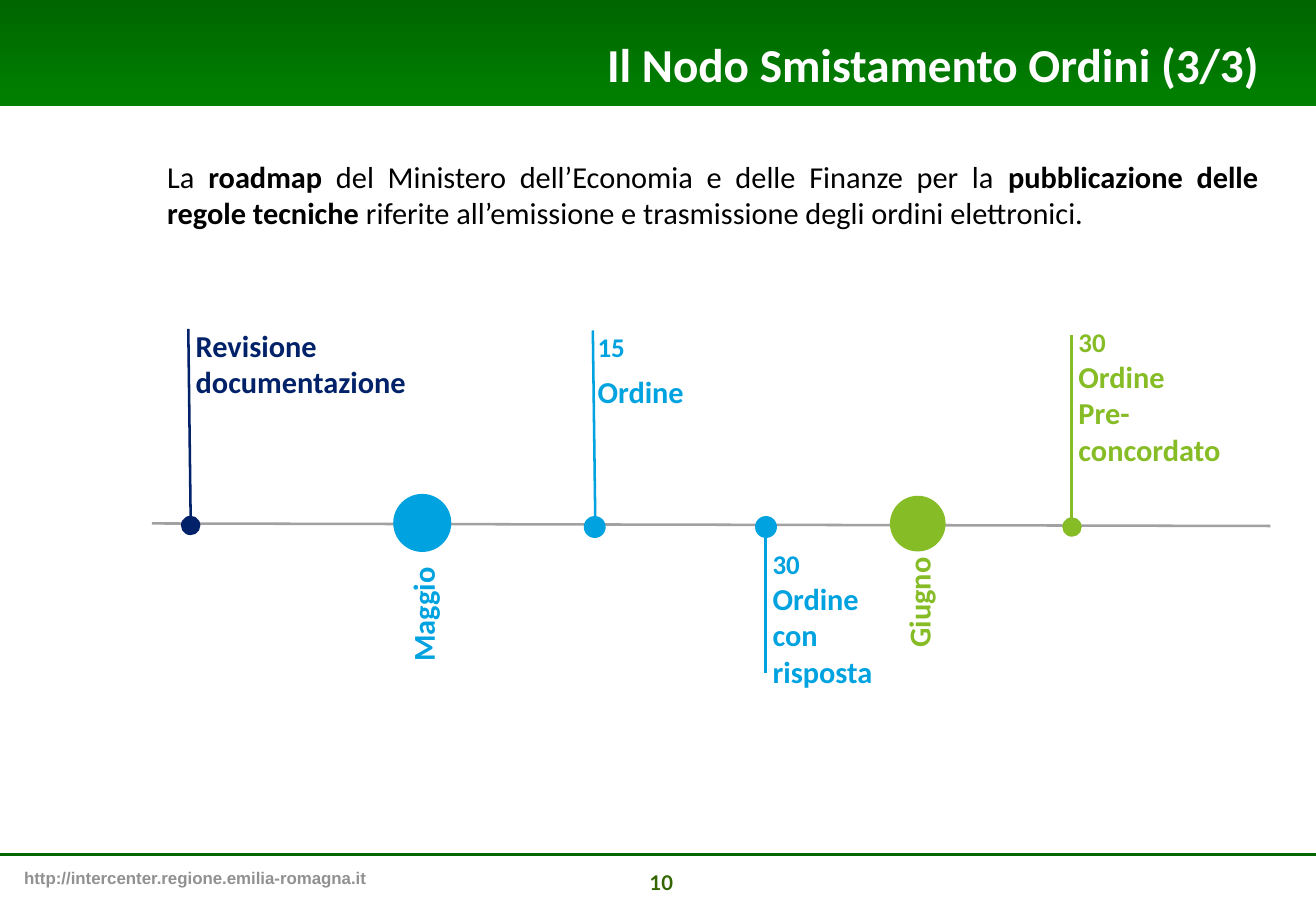
from dataclasses import dataclass

from lxml.etree import SubElement
from pptx import Presentation
from pptx.dml.color import RGBColor
from pptx.enum.shapes import MSO_CONNECTOR, MSO_SHAPE
from pptx.enum.text import MSO_ANCHOR, PP_ALIGN
from pptx.oxml.ns import qn
from pptx.shapes.base import BaseShape
from pptx.slide import Slide
from pptx.text.text import TextFrame
from pptx.util import Pt

COLORS = {
    "banner_top": "006600",
    "banner_bottom": "008000",
    "white": "FFFFFF",
    "black": "000000",
    "url": "919191",
    "page": "336600",
    "axis": "A1A1A1",
    "revision": "012169",
    "may": "00A3E0",
    "june": "86BC25",
}

Point = tuple[float, float]
Box = tuple[float, float, float, float]


@dataclass
class Line:
    text: str
    size: float = 18
    space_before: float = 0


@dataclass
class Milestone:
    color: str
    center: Point
    diameter: float
    stem_start: Point
    stem_end: Point
    label_box: Box
    lines: list[Line]


@dataclass
class Month:
    name: str
    color: str
    center: Point
    diameter: float
    label_center: Point
    label_width: float


MILESTONES = [
    Milestone("revision", (113, 311.5), 11.5, (113, 306), (111.6, 195),
              (116, 193.7, 135.4, 44), [Line("Revisione documentazione")]),
    Milestone("may", (352.5, 312.4), 13, (352.8, 306.5), (351.4, 195.8),
              (354.2, 195.8, 94.3, 48), [Line("15", 16), Line("Ordine", 18, 6)]),
    Milestone("june", (635.4, 312.4), 11.5, (635.2, 309), (635.2, 198.7),
              (639.2, 193, 94.3, 87),
              [Line("30", 16), Line("Ordine"), Line("Pre-concordato")]),
    Milestone("may", (454, 312.4), 13, (453.6, 314), (453.6, 399),
              (457.9, 324.7, 75.6, 87),
              [Line("30", 16), Line("Ordine con"), Line("risposta")]),
]

MONTHS = [
    Month("Maggio", "may", (250.3, 310), 34.4, (250.6, 367.2), 62),
    Month("Giugno", "june", (544, 310.4), 33, (544.4, 360), 59),
]

INTRO = [
    ("La ", False),
    ("roadmap", True),
    (" del Ministero dell’Economia e delle Finanze per la ", False),
    ("pubblicazione delle regole tecniche", True),
    (" riferite all’emissione e trasmissione degli ordini elettronici.", False),
]


def rgb(color: str) -> RGBColor:
    return RGBColor.from_string(COLORS[color])


def add_line(slide: Slide, start: Point, end: Point, color: str, width: float = 1.5) -> None:
    line = slide.shapes.add_connector(
        MSO_CONNECTOR.STRAIGHT, *(Pt(value) for value in (*start, *end)))
    line.line.color.rgb = rgb(color)
    line.line.width = Pt(width)
    SubElement(line.element.spPr, qn("a:effectLst"))


def add_dot(slide: Slide, center: Point, diameter: float, color: str) -> None:
    x, y = center
    dot = slide.shapes.add_shape(
        MSO_SHAPE.OVAL, Pt(x - diameter / 2), Pt(y - diameter / 2),
        Pt(diameter), Pt(diameter))
    dot.shadow.inherit = False
    dot.fill.solid()
    dot.fill.fore_color.rgb = rgb(color)
    dot.line.fill.background()


def write_lines(frame: TextFrame, lines: list[Line], color: str,
                font: str = "Calibri", align: PP_ALIGN = PP_ALIGN.LEFT) -> None:
    frame.word_wrap = True
    frame.vertical_anchor = MSO_ANCHOR.TOP
    for index, line in enumerate(lines):
        paragraph = frame.add_paragraph() if index else frame.paragraphs[0]
        paragraph.text = line.text
        paragraph.alignment = align
        paragraph.space_before = Pt(line.space_before)
        paragraph.font.name = font
        paragraph.font.size = Pt(line.size)
        paragraph.font.bold = True
        paragraph.font.color.rgb = rgb(color)


def add_text(slide: Slide, box: Box, lines: list[Line], color: str,
             font: str = "Calibri", align: PP_ALIGN = PP_ALIGN.LEFT,
             inset: bool = False) -> BaseShape:
    text_box = slide.shapes.add_textbox(*(Pt(value) for value in box))
    frame = text_box.text_frame
    if not inset:
        frame.margin_left = frame.margin_right = 0
        frame.margin_top = frame.margin_bottom = 0
    write_lines(frame, lines, color, font, align)
    return text_box


def add_header(slide: Slide) -> None:
    title = slide.shapes.title
    title.left, title.top, title.width, title.height = (
        Pt(value) for value in (82.8, 17.3, 670.3, 41))
    write_lines(title.text_frame, [Line("Il Nodo Smistamento Ordini (3/3)", 28)],
                "white", align=PP_ALIGN.RIGHT)

    banner = slide.shapes.add_shape(MSO_SHAPE.RECTANGLE, 0, 0, Pt(780), Pt(62.7))
    banner.shadow.inherit = False
    banner.line.fill.background()
    banner.fill.gradient()
    banner.fill.gradient_angle = 270
    for stop, color in zip(banner.fill.gradient_stops, ("banner_top", "banner_bottom")):
        stop.color.rgb = rgb(color)
    title.element.addprevious(banner.element)


def add_footer(slide: Slide) -> None:
    add_line(slide, (0, 506.3), (780, 506.3), "banner_top", 1.75)
    add_text(slide, (7.2, 510.5, 274.3, 19.4),
             [Line("http://intercenter.regione.emilia-romagna.it", 10)],
             "url", "Arial", inset=True)
    add_text(slide, (311, 512.6, 162, 19.4), [Line("10", 12)],
             "page", "Lato", PP_ALIGN.CENTER, inset=True)


def add_intro(slide: Slide) -> None:
    intro = slide.shapes.add_textbox(Pt(92), Pt(90), Pt(661), Pt(51))
    intro.text_frame.word_wrap = True
    paragraph = intro.text_frame.paragraphs[0]
    paragraph.alignment = PP_ALIGN.JUSTIFY
    paragraph.font.name = "Calibri"
    paragraph.font.size = Pt(18)
    paragraph.font.color.rgb = rgb("black")
    for text, bold in INTRO:
        run = paragraph.add_run()
        run.text = text
        run.font.bold = bold


def add_timeline(slide: Slide) -> None:
    add_line(slide, (90, 310.3), (753, 311.8), "axis")
    for milestone in MILESTONES:
        add_dot(slide, milestone.center, milestone.diameter, milestone.color)
        add_line(slide, milestone.stem_start, milestone.stem_end, milestone.color)
        add_text(slide, milestone.label_box, milestone.lines, milestone.color)
    for month in MONTHS:
        add_dot(slide, month.center, month.diameter, month.color)
        x, y = month.label_center
        height = 21.6
        label = add_text(
            slide, (x - month.label_width / 2, y - height / 2, month.label_width, height),
            [Line(month.name)], month.color, align=PP_ALIGN.RIGHT)
        label.rotation = 270


def main() -> None:
    presentation = Presentation()
    presentation.slide_width = Pt(780)
    presentation.slide_height = Pt(540)
    slide = presentation.slides.add_slide(presentation.slide_layouts[5])
    add_header(slide)
    add_footer(slide)
    add_intro(slide)
    add_timeline(slide)
    presentation.save("out.pptx")


if __name__ == "__main__":
    main()
